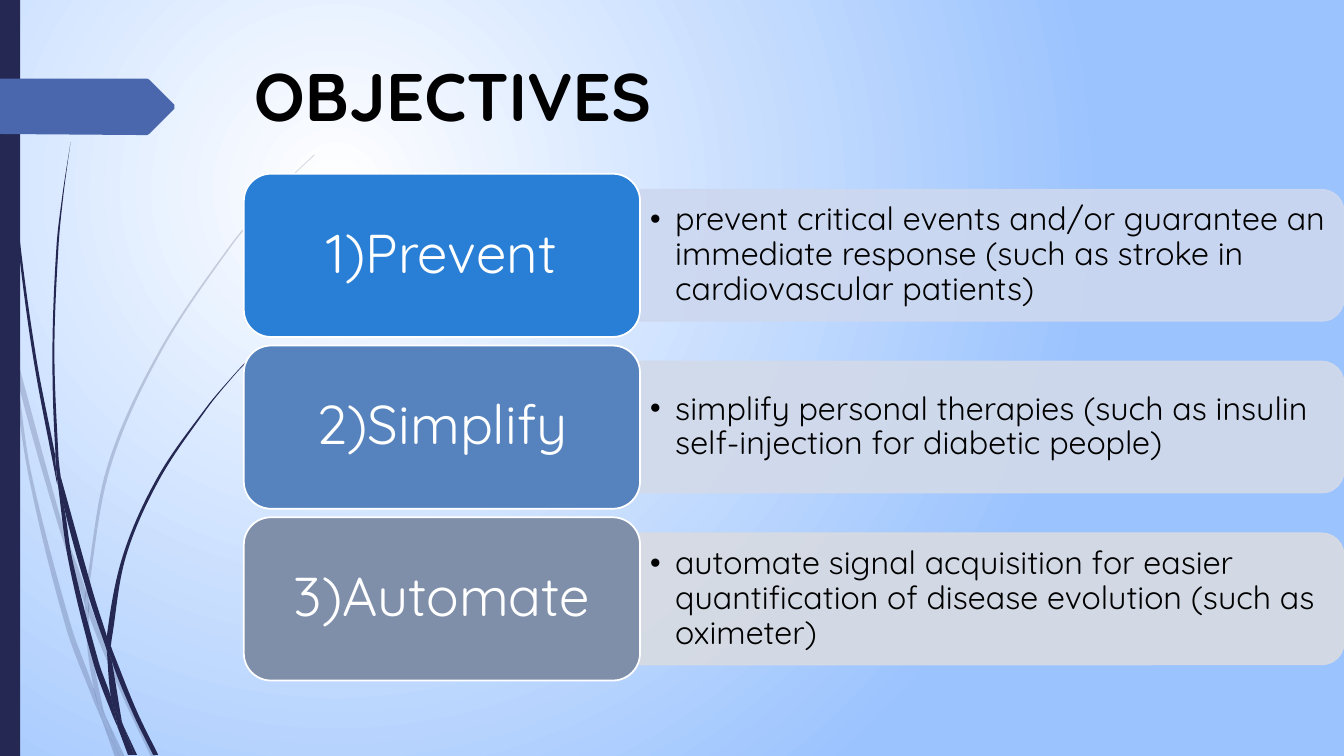
from math import hypot

from lxml import etree
from pptx import Presentation
from pptx.dml.color import RGBColor
from pptx.enum.shapes import MSO_SHAPE
from pptx.enum.text import MSO_ANCHOR, PP_ALIGN
from pptx.oxml.ns import qn
from pptx.util import Pt

RECT = MSO_SHAPE.RECTANGLE
ROUND = MSO_SHAPE.ROUNDED_RECTANGLE
TAB = MSO_SHAPE.ROUND_2_SAME_RECTANGLE
LEFT, CENTER = PP_ALIGN.LEFT, PP_ALIGN.CENTER
TOP, MIDDLE = MSO_ANCHOR.TOP, MSO_ANCHOR.MIDDLE
FONT = "Quicksand"
NAVY, WHITE, BLACK = "242852", "FFFFFF", "000000"
UNIT = Pt(0.72)
WIDE, HIGH = 960, 540
EDGE, BOX_W, BOX_H = 174.2, 283, 116.6
BAR_W, BAR_H = 502.6, 93.6
FIRST, PITCH = 124.1, 122.7

GOALS = [
    ("1)Prevent", "297FD5", "CDD8EF",
     "prevent critical events and/or guarantee an immediate response "
     "(such as stroke in cardiovascular patients)"),
    ("2)Simplify", "5683BD", "D2DAE9",
     "simplify personal therapies (such as insulin self-injection for diabetic people)"),
    ("3)Automate", "7F8FA9", "D8DBE2",
     "automate signal acquisition for easier quantification of disease evolution "
     "(such as oximeter)"),
]

ARROW = [(173, 108), (148, 133), (146, 134), (136, 134), (0, 133), (0, 78),
         (136, 78), (146, 78), (148, 79), (173, 104)]
PALE = [
    [(11, 350), (9, 322), (0, 282), (0, 299), (10, 344)],
    [(58, 522), (84, 599), (85, 586), (62, 520), (14, 345), (17, 376)],
    [(92, 607), (88, 596), (88, 610), (123, 694), (150, 751), (155, 751), (127, 692)],
    [(119, 751), (124, 751), (105, 711)],
    [(93, 683), (70, 619), (31, 469), (17, 376), (11, 350), (28, 470), (65, 621),
     (92, 693), (101, 714), (99, 707)],
    [(84, 599), (87, 646), (93, 683), (96, 692), (105, 711), (103, 706), (91, 646),
     (88, 610), (88, 608)],
    [(88, 584), (110, 462), (160, 349), (229, 245), (268, 198), (290, 175),
     (312, 154), (312, 153), (289, 175), (268, 197), (228, 244), (158, 348),
     (107, 461), (85, 584), (85, 586), (88, 596)],
    [(101, 714), (114, 751), (119, 751)],
    [(88, 608), (88, 610), (88, 596), (85, 586), (84, 599)],
    [(96, 692), (93, 683), (99, 707), (101, 714), (119, 751), (105, 711)],
]
DARK = [
    [(7, 110), (17, 233), (33, 355), (56, 477), (57, 481), (55, 457), (55, 453),
     (36, 355), (19, 232), (8, 109), (5, 48), (4, 0), (3, 0), (4, 48)],
    [(88, 592), (106, 645), (106, 633), (106, 631), (93, 590), (60, 472), (64, 505)],
    [(113, 649), (110, 641), (111, 656), (132, 708), (152, 749), (157, 749), (136, 706)],
    [(110, 691), (98, 657), (72, 556), (64, 505), (57, 477), (68, 557), (93, 659),
     (111, 708), (117, 722), (116, 717)],
    [(60, 472), (58, 453), (54, 349), (58, 245), (63, 193), (70, 141), (62, 193),
     (56, 245), (52, 349), (55, 449)],
    [(133, 749), (136, 749), (122, 719)],
    [(57, 477), (64, 505), (60, 472), (55, 449), (55, 453)],
    [(111, 633), (125, 552), (158, 476), (205, 406), (231, 374), (245, 359),
     (261, 344), (260, 344), (245, 358), (231, 373), (204, 405), (156, 474),
     (122, 551), (106, 631), (110, 641)],
    [(117, 722), (127, 749), (131, 749)],
    [(106, 645), (110, 691), (116, 706), (122, 719), (121, 716), (111, 656), (109, 651)],
    [(106, 645), (109, 651), (111, 656), (110, 641), (106, 631), (106, 633)],
    [(116, 706), (110, 691), (116, 717), (117, 722), (130, 749), (133, 749), (122, 719)],
]


def tint(color, code):
    """Set a colour from a hex string."""
    color.rgb = RGBColor.from_string(code)


def paint(shape, fill, line=None, alpha=100):
    """Give a shape its fill, outline and opacity, without a shadow."""
    shape.shadow.inherit = False
    shape.fill.solid()
    tint(shape.fill.fore_color, fill)
    if line:
        tint(shape.line.color, line)
        shape.line.width = Pt(1.25)
    else:
        shape.line.fill.background()
    if alpha < 100:
        for node in shape.element.spPr.iter(qn("a:srgbClr")):
            etree.SubElement(node, qn("a:alpha"), val=str(alpha * 1000))


def write(shape, text, size, code=BLACK, bold=False, align=LEFT, anchor=MIDDLE,
          pad=(7.2, 3.6), space=None, bullet=False):
    """Put formatted text into a shape."""
    frame = shape.text_frame
    frame.word_wrap = True
    frame.vertical_anchor = anchor
    frame.margin_left = frame.margin_right = Pt(pad[0])
    frame.margin_top = frame.margin_bottom = Pt(pad[1])
    para = frame.paragraphs[0]
    para.alignment = align
    if space:
        para.line_spacing = space
    run = para.add_run()
    run.text = text
    run.font.name, run.font.size, run.font.bold = FONT, Pt(size), bold
    tint(run.font.color, code)
    if bullet:
        props = para._p.get_or_add_pPr()
        props.set("marL", str(Pt(18)))
        props.set("indent", str(Pt(-18)))
        etree.SubElement(props, qn("a:buFont"), typeface=FONT)
        etree.SubElement(props, qn("a:buChar"), char="•")


def block(slide, kind, x, y, w, h, fill, **look):
    """Add a painted preset shape."""
    shape = slide.shapes.add_shape(kind, Pt(x), Pt(y), Pt(w), Pt(h))
    paint(shape, fill, **look)
    return shape


def label(slide, x, y, w, h, text, size, **look):
    """Add a text box with formatted text."""
    write(slide.shapes.add_textbox(Pt(x), Pt(y), Pt(w), Pt(h)), text, size, **look)


def handle(prev, spot, after, reach):
    """Return the curve handle at a spot, along its tangent unless it is a corner."""
    (ax, ay), (bx, by) = [(q[0] - p[0], q[1] - p[1])
                          for p, q in ((prev, spot), (spot, after))]
    if ax * bx + ay * by < 0.7 * hypot(ax, ay) * hypot(bx, by):
        ax = ay = 0
    size = hypot(ax + bx, ay + by)
    return spot[0] + (ax + bx) / size * reach, spot[1] + (ay + by) / size * reach


def bend(shape, spots):
    """Turn the straight sides of a closed outline into curves."""
    left, top = min(x for x, y in spots), min(y for x, y in spots)
    count = len(spots)
    for i, side in enumerate(list(shape.element.iter(qn("a:lnTo")))):
        prev, start, end, after = [spots[(i + k) % count] for k in (-1, 0, 1, 2)]
        reach = hypot(end[0] - start[0], end[1] - start[1]) / 3
        side.tag = qn("a:cubicBezTo")
        pair = handle(prev, start, end, reach), handle(after, end, start, reach)
        for k, (x, y) in enumerate(pair):
            node = etree.Element(qn("a:pt"), x=str(round((x - left) * UNIT)),
                                 y=str(round((y - top) * UNIT)))
            side.insert(k, node)


def shard(slide, spots, fill, alpha=100, curved=True):
    """Draw a closed outline through spots on the fine grid."""
    ends = [(x * UNIT, y * UNIT) for x, y in spots]
    form = slide.shapes.build_freeform(*ends[0])
    form.add_line_segments(ends[1:] + ends[:1])
    shape = form.convert_to_shape()
    if curved:
        bend(shape, spots)
    paint(shape, fill, alpha=alpha)


def glow(slide):
    """Fill the background with a round gradient."""
    fill = slide.background.fill
    fill.gradient()
    for stop, code in zip(fill.gradient_stops, (WHITE, "9BC3FE")):
        tint(stop.color, code)
    grad = slide.element.find(".//" + qn("a:gradFill"))
    grad.remove(grad.find(qn("a:lin")))
    ring = etree.SubElement(grad, qn("a:path"), path="circle")
    etree.SubElement(ring, qn("a:fillToRect"), l="50000", t="50000",
                     r="100000", b="100000")


def goal(slide, row, name, fill, pale, text):
    """Draw one objective: a label box and its bar of detail."""
    top = FIRST + row * PITCH
    mid, side = top + BOX_H / 2, EDGE + BOX_W
    bar = block(slide, TAB, side + (BAR_W - BAR_H) / 2, mid - BAR_W / 2,
                BAR_H, BAR_W, pale, line=pale, alpha=90)
    bar.rotation = 90
    label(slide, side, mid - 42.1, 498.2, 84.2, text, 23, space=0.9, bullet=True)
    block(slide, ROUND, EDGE, top, BOX_W, BOX_H, fill, line=WHITE)
    label(slide, EDGE + 5.7, top + 5.7, BOX_W - 11.4, BOX_H - 11.4, name, 39,
          code=WHITE, align=CENTER, space=0.9, pad=(11.5, 5.8))


def main():
    """Build and save the slide."""
    deck = Presentation()
    deck.slide_width, deck.slide_height = Pt(WIDE), Pt(HIGH)
    slide = deck.slides.add_slide(deck.slide_layouts[5])
    glow(slide)
    for shards, alpha in ((PALE, 20), (DARK, 100)):
        for spots in shards:
            shard(slide, spots, NAVY, alpha)
    block(slide, RECT, 0, 0, 14.4, HIGH, NAVY)
    shard(slide, ARROW, "4A66AC", curved=False)
    title = slide.shapes.title
    title.left, title.top = Pt(EDGE), Pt(35.3)
    title.width, title.height = Pt(828), Pt(104.4)
    write(title, "OBJECTIVES", 48, bold=True, anchor=TOP)
    for row, item in enumerate(GOALS):
        goal(slide, row, *item)
    deck.save("out.pptx")


if __name__ == "__main__":
    main()
